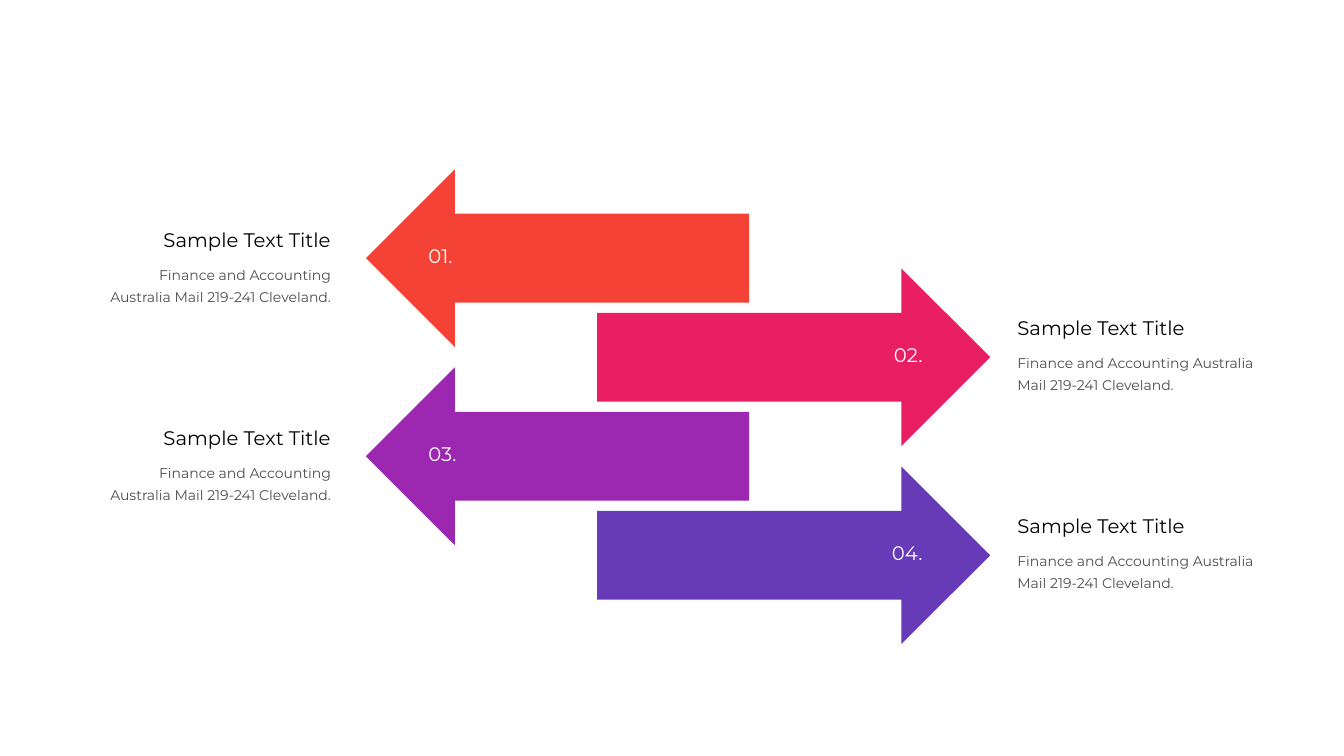
from lxml import etree
from pptx import Presentation
from pptx import util as u
from pptx.dml.color import RGBColor
from pptx.enum import shapes, text
from pptx.oxml.ns import qn

LEFT, RIGHT = text.PP_ALIGN.LEFT, text.PP_ALIGN.RIGHT
HEADING = "Sample Text Title"
BODY = "Finance and Accounting Australia Mail 219-241 Cleveland."


def rgb(value):
    return RGBColor.from_string(value)


class Deck:
    """Style and current slide; lengths are percentages of the slide's size."""
    font = "Montserrat"
    ink, paper = "000000", "FFFFFF"
    heading_size, body_size = 14, 10

    def __init__(self):
        self.prs = Presentation()
        self.prs.slide_width, self.prs.slide_height = u.Inches(13.33), u.Inches(7.5)
        self.s = self.prs.slides.add_slide(self.prs.slide_layouts[6])

    def box(self, x, y, w, h):
        """Turn percentages into left, top, width and height."""
        cw, rh = self.prs.slide_width / 100, self.prs.slide_height / 100
        return [round(v) for v in (x * cw, y * rh, w * cw, h * rh)]

    def arrow(self, kind, place, color):
        sp = self.s.shapes.add_shape(kind, *self.box(*place))
        sp.shadow.inherit = False
        sp.fill.solid()
        sp.fill.fore_color.rgb = rgb(color)
        sp.line.fill.background()

    def label(self, words, place, align, size, color, parent=None, spacing=None, opacity=None):
        sp = (parent or self.s).shapes.add_textbox(*self.box(*place))
        tf = sp.text_frame
        tf.word_wrap = True
        tf.auto_size = text.MSO_AUTO_SIZE.SHAPE_TO_FIT_TEXT
        tf.margin_left = 0
        p = tf.paragraphs[0]
        p.alignment = align
        if spacing:
            p.line_spacing = spacing
        r = p.add_run()
        r.text = words
        r.font.name, r.font.size = self.font, u.Pt(size)
        r.font.color.rgb = rgb(color)
        if opacity:
            clr = r.font.fill._xPr.find(".//" + qn("a:srgbClr"))
            etree.SubElement(clr, qn("a:alpha"), val=str(opacity * 1000))

    def caption(self, heading_x, body_x, body_w, y, align):
        group = self.s.shapes.add_group_shape()
        self.label(HEADING, (heading_x, y, 16.73, 4.5), align,
                   self.heading_size, self.ink, group)
        self.label(BODY, (body_x, y + 4.5, body_w, 7.2), align,
                   self.body_size, self.ink, group, spacing=1.3, opacity=70)

    def number(self, words, x, y, align):
        self.label(words, (x, y, 5.4, 4.5), align, self.heading_size, self.paper)


def main():
    deck = Deck()
    arrow = shapes.MSO_SHAPE
    first_row, row_step, arrow_h = 22.4, 13.1, 23.5
    for i, color in enumerate(("F44336", "E91E63", "9C27B0", "673AB7")):
        y = first_row + i * row_step
        number = f"{i + 1:02d}."
        if i % 2 == 0:
            deck.arrow(arrow.LEFT_ARROW, (27.23, y, 28.5, arrow_h), color)
            deck.caption(8.62, 7.55, 17.8, y + 7.05, RIGHT)
            deck.number(number, 31.88, y + 9.25, LEFT)
        else:
            deck.arrow(arrow.RIGHT_ARROW, (44.43, y, 29.25, arrow_h), color)
            deck.caption(75.7, 75.7, 18.83, y + 5.6, LEFT)
            deck.number(number, 63.98, y + 9.25, RIGHT)
    deck.prs.save("out.pptx")


if __name__ == "__main__":
    main()
